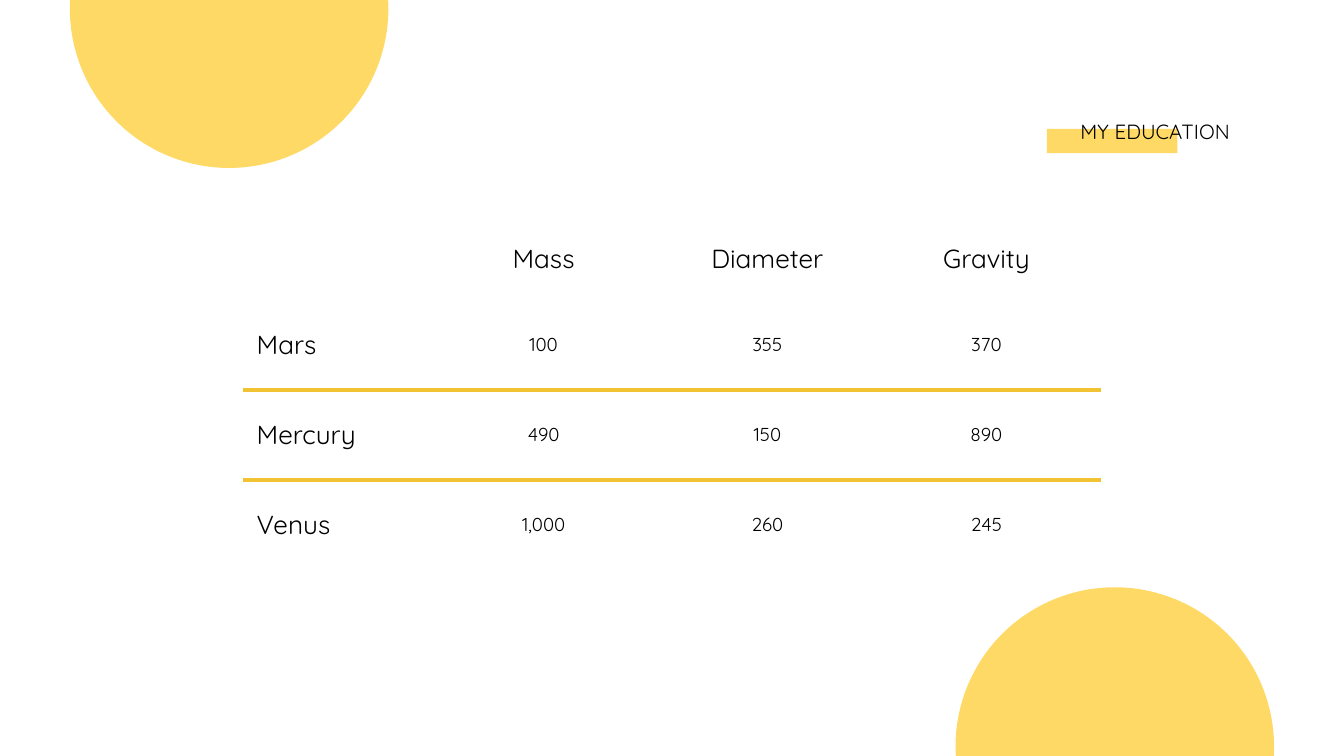
from lxml import etree
from pptx import Presentation
from pptx.dml.color import RGBColor
from pptx.enum import shapes, text
from pptx.oxml import ns
from pptx.util import Inches, Pt

FONT = "Quicksand"
BLACK, YELLOW, GOLD = "000000", "FFD966", "F1C232"
RULE_WIDTH = 2.25

TITLE = "MY EDUCATION"
ROWS = [
    ("", "Mass", "Diameter", "Gravity"),
    ("Mars", "100", "355", "370"),
    ("Mercury", "490", "150", "890"),
    ("Venus", "1,000", "260", "245"),
]
COLUMN_WIDTHS = [1.35, 1.77, 1.56, 1.7]
ROW_HEIGHTS = [0.61, 0.67, 0.67, 0.67]
NO_STYLE = "{2D5ABB26-0587-4C30-8999-92F81FD0307C}"

CIRCLE = shapes.MSO_SHAPE.OVAL
BAR = shapes.MSO_SHAPE.RECTANGLE
DECORATIONS = [
    (CIRCLE, 0.52, -1.12, 2.37, 2.37),
    (CIRCLE, 7.11, 4.37, 2.37, 2.37),
    (BAR, 7.79, 0.96, 0.97, 0.18),
]


def color(value):
    return RGBColor.from_string(value)


def write(frame, content, size, align):
    paragraph = frame.paragraphs[0]
    paragraph.alignment = align
    run = paragraph.add_run()
    run.text = content
    run.font.name = FONT
    run.font.size = Pt(size)
    run.font.color.rgb = color(BLACK)


def set_margins(target):
    target.margin_left = target.margin_right = Inches(0.1)
    target.margin_top = target.margin_bottom = Inches(0.1)


def add_border(cell, side):
    """Draw a gold rule on one side of a cell, "T" or "B"."""
    properties = cell._tc.get_or_add_tcPr()
    line = etree.SubElement(properties, ns.qn(f"a:ln{side}"), w=str(Pt(RULE_WIDTH)))
    fill = etree.SubElement(line, ns.qn("a:solidFill"))
    etree.SubElement(fill, ns.qn("a:srgbClr"), val=GOLD)


def add_decoration(slide, kind, *box):
    shape = slide.shapes.add_shape(kind, *map(Inches, box))
    shape.shadow.inherit = False
    shape.fill.solid()
    shape.fill.fore_color.rgb = color(YELLOW)
    shape.line.fill.background()


def add_title(slide):
    box = slide.shapes.add_textbox(*map(Inches, (0.78, 0.78, 8.47, 0.38)))
    frame = box.text_frame
    frame.word_wrap = True
    frame.vertical_anchor = text.MSO_ANCHOR.BOTTOM
    set_margins(frame)
    write(frame, TITLE, size=11, align=text.PP_ALIGN.RIGHT)


def add_planet_table(slide):
    frame = slide.shapes.add_table(
        len(ROWS), len(COLUMN_WIDTHS), Inches(1.81), Inches(1.62),
        Inches(sum(COLUMN_WIDTHS)), Inches(sum(ROW_HEIGHTS)))
    table = frame.table
    table.first_row = table.horz_banding = False
    table._tbl.tblPr.find(ns.qn("a:tableStyleId")).text = NO_STYLE
    for column, width in zip(table.columns, COLUMN_WIDTHS):
        column.width = Inches(width)
    for row, height in zip(table.rows, ROW_HEIGHTS):
        row.height = Inches(height)

    for r, values in enumerate(ROWS):
        for c, value in enumerate(values):
            cell = table.cell(r, c)
            cell.vertical_anchor = text.MSO_ANCHOR.MIDDLE
            set_margins(cell)
            if r > 1:
                add_border(cell, "T")
            if 0 < r < len(ROWS) - 1:
                add_border(cell, "B")
            cell.fill.background()
            if value:
                is_heading = r == 0 or c == 0
                write(cell.text_frame, value, size=14 if is_heading else 10,
                      align=text.PP_ALIGN.CENTER if c else text.PP_ALIGN.LEFT)


def main():
    presentation = Presentation()
    presentation.slide_width = Inches(10)
    presentation.slide_height = presentation.slide_width * 9 // 16
    slide = presentation.slides.add_slide(presentation.slide_layouts[6])
    for decoration in DECORATIONS:
        add_decoration(slide, *decoration)
    add_title(slide)
    add_planet_table(slide)
    presentation.save("out.pptx")


if __name__ == "__main__":
    main()
